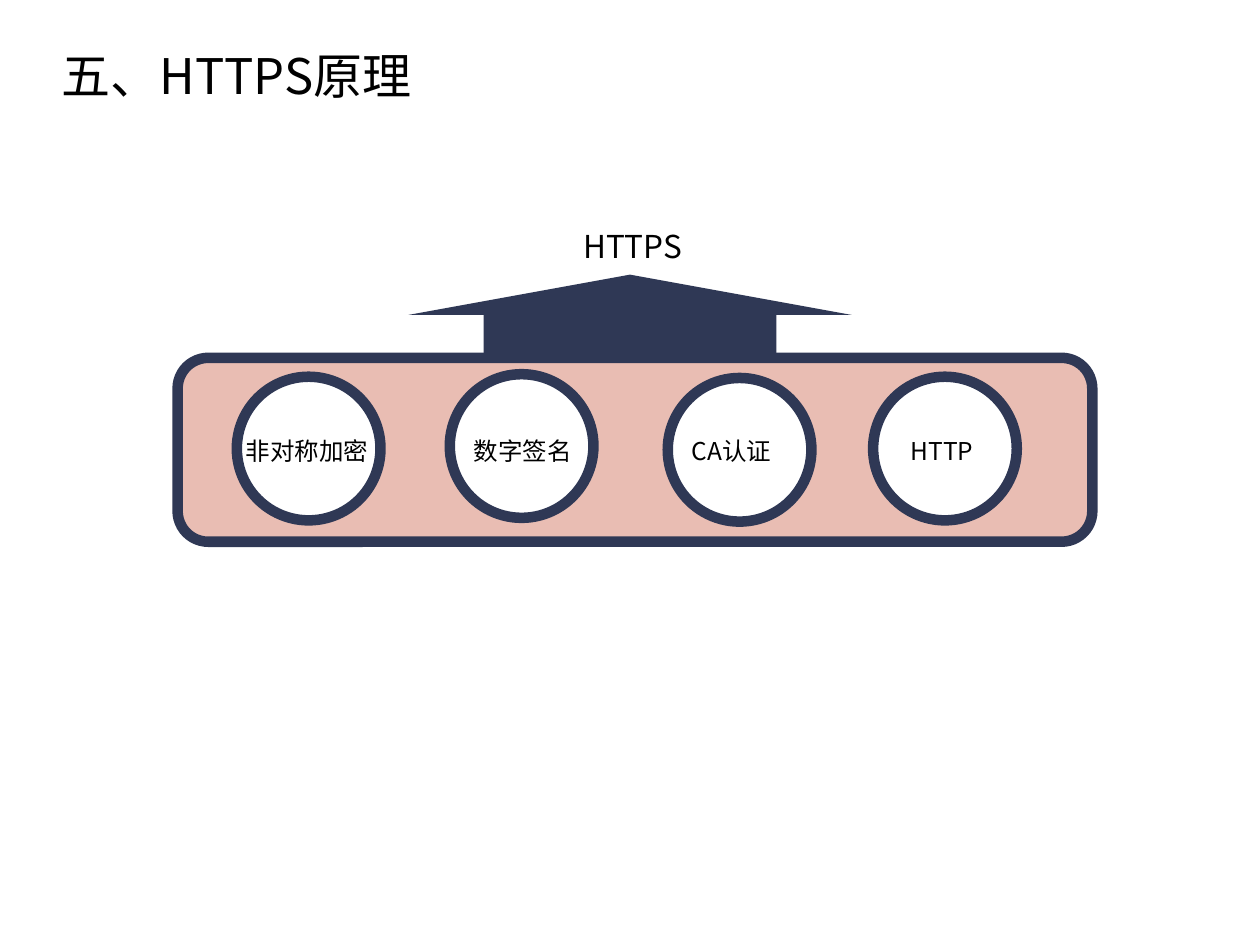
from lxml.etree import SubElement
from pptx import Presentation
from pptx.dml.color import RGBColor
from pptx.enum.shapes import MSO_SHAPE
from pptx.enum.text import MSO_ANCHOR, MSO_AUTO_SIZE, PP_ALIGN
from pptx.oxml.ns import qn
from pptx.util import Inches, Pt

COLORS = {"navy": "2F3855", "pink": "E9BDB3", "white": "FFFFFF", "black": "000000"}
FONT = "Noto Sans CJK SC"
CIRCLE_SIZE = 1.14
LABEL_TOP, LABEL_HEIGHT = 3.41, 0.34

# Circle left and top, then label text, left, width and wrapping
COMPONENTS = [
    (1.88, 2.99, "非对称加密", 1.85, 1.18, False),
    (3.57, 2.97, "数字签名", 3.66, 0.99, False),
    (5.30, 3.00, "CA认证", 5.39, 0.86, True),
    (6.93, 2.99, "HTTP", 7.13, 0.70, False),
]


def color(name):
    return RGBColor.from_string(COLORS[name])


def write_text(shape, text, size, wrap):
    text_frame = shape.text_frame
    text_frame.text = text
    text_frame.word_wrap = wrap
    text_frame.auto_size = MSO_AUTO_SIZE.NONE
    text_frame.vertical_anchor = MSO_ANCHOR.TOP
    paragraph = text_frame.paragraphs[0]
    paragraph.alignment = PP_ALIGN.LEFT
    font = paragraph.runs[0].font
    font.size = Pt(size)
    font.name = FONT
    font.color.rgb = color("black")
    # East Asian typeface
    SubElement(paragraph.runs[0]._r.get_or_add_rPr(), qn("a:ea")).set("typeface", FONT)


def add_title(slide, text, box):
    title = slide.shapes.title
    title.left, title.top, title.width, title.height = map(Inches, box)
    write_text(title, text, 28, True)


def add_label(slide, text, box, size, wrap=False):
    write_text(slide.shapes.add_textbox(*map(Inches, box)), text, size, wrap)


def add_block(slide, kind, box, fill, outlined=True):
    shape = slide.shapes.add_shape(kind, *map(Inches, box))
    shape.shadow.inherit = False
    shape.fill.solid()
    shape.fill.fore_color.rgb = color(fill)
    if outlined:
        shape.line.color.rgb = color("navy")
        shape.line.width = Pt(6)
    else:
        shape.line.fill.background()
    return shape


def main():
    presentation = Presentation()
    presentation.slide_width, presentation.slide_height = Inches(10), Inches(7.5)
    slide = presentation.slides.add_slide(presentation.slide_layouts[5])
    add_title(slide, "五、HTTPS原理", (0.39, 0.31, 3, 0.57))

    # Panel with the four building blocks
    add_block(slide, MSO_SHAPE.ROUNDED_RECTANGLE, (1.41, 2.84, 7.26, 1.46), "pink")
    for left, top, *_ in COMPONENTS:
        add_block(slide, MSO_SHAPE.OVAL, (left, top, CIRCLE_SIZE, CIRCLE_SIZE), "white")

    # Arrow leading up to the result
    arrow = add_block(slide, MSO_SHAPE.UP_ARROW, (3.24, 2.18, 3.52, 0.64), "navy", outlined=False)
    arrow.adjustments[0] = 0.66
    arrow.adjustments[1] = 0.5
    add_label(slide, "HTTPS", (4.53, 1.75, 0.99, 0.4), 18)

    # Names of the building blocks
    for *_, text, left, width, wrap in COMPONENTS:
        add_label(slide, text, (left, LABEL_TOP, width, LABEL_HEIGHT), 14, wrap)

    presentation.save("out.pptx")


if __name__ == "__main__":
    main()
